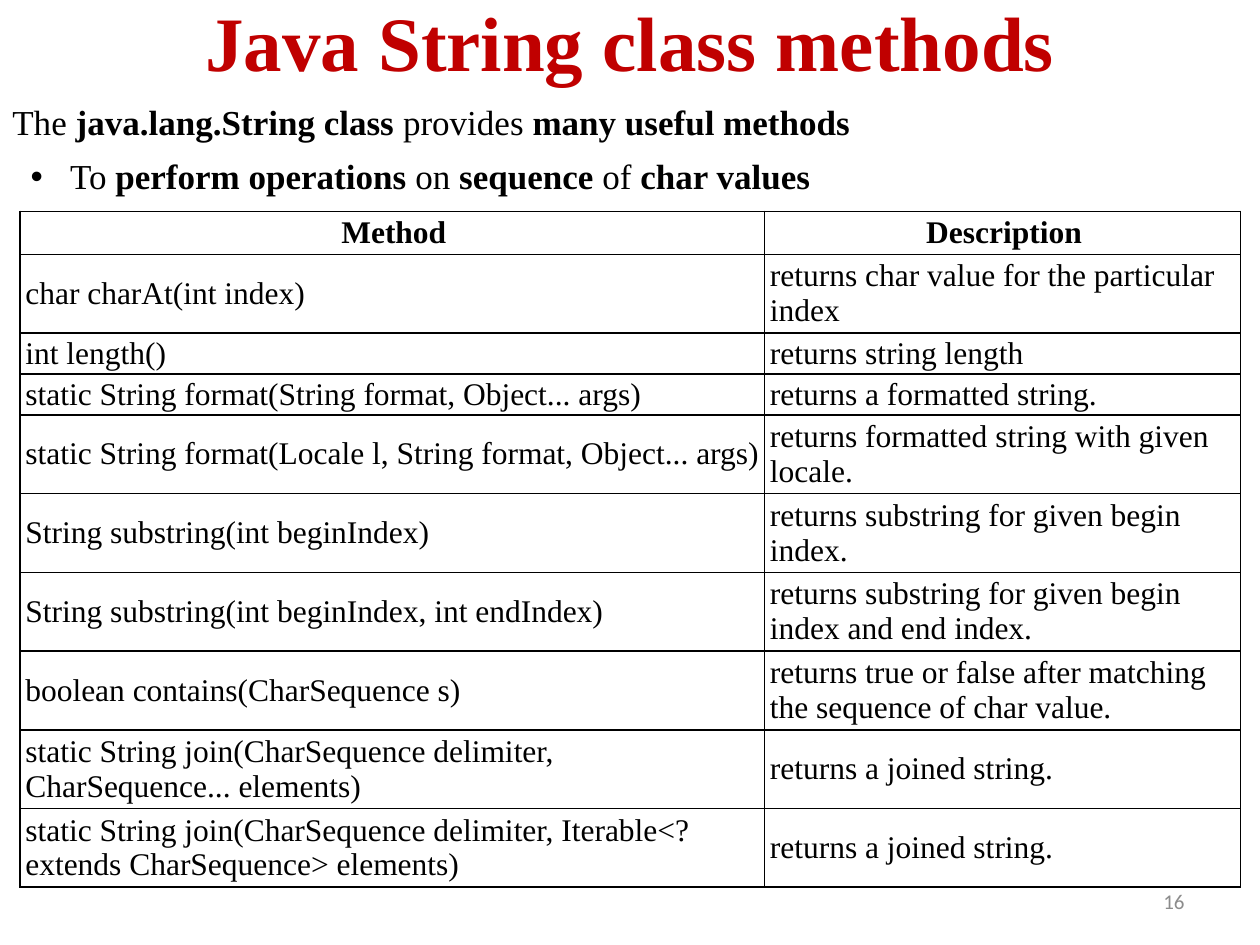
from dataclasses import dataclass
from lxml.etree import SubElement
from pptx import Presentation
from pptx.dml.color import RGBColor
from pptx.enum.text import MSO_ANCHOR as Anchor, PP_ALIGN as Align
from pptx.oxml.ns import qn
from pptx.util import Pt


@dataclass(frozen=True)
class Theme:
    serif: str = "Times New Roman"
    sans: str = "Calibri"
    ink: str = "000000"
    accent: str = "C00000"
    muted: str = "8C8C8C"
    title: int = 44
    body: int = 20
    table: int = 18
    number: int = 12
    border: int = 1


THEME = Theme()
INTRO = [
    [("The ", False), ("java.lang.String class ", True),
     ("provides ", False), ("many useful methods", True)],
    [("To ", False), ("perform operations ", True), ("on ", False),
     ("sequence", True), (" of ", False), ("char values", True)],
]
METHODS = [
    ("Method", "Description"),
    ("char charAt(int index)", "returns char value for the particular index"),
    ("int length()", "returns string length"),
    ("static String format(String format, Object... args)", "returns a formatted string."),
    ("static String format(Locale l, String format, Object... args)",
     "returns formatted string with given locale."),
    ("String substring(int beginIndex)", "returns substring for given begin index."),
    ("String substring(int beginIndex, int endIndex)",
     "returns substring for given begin index and end index."),
    ("boolean contains(CharSequence s)",
     "returns true or false after matching the sequence of char value."),
    ("static String join(CharSequence delimiter, CharSequence... elements)",
     "returns a joined string."),
    ("static String join(CharSequence delimiter, Iterable<? extends CharSequence> elements)",
     "returns a joined string."),
]
HEADER_HEIGHT, SINGLE_HEIGHT, DOUBLE_HEIGHT = 24.5, 23.4, 45
SINGLE_ROWS = (2, 3)
COLUMN_SHARES = (0.61, 0.39)


def apply(target, values):
    for name, value in values.items():
        setattr(target, name, value)


def add_run(paragraph, text, size, color=THEME.ink, bold=False, font=THEME.serif):
    run = paragraph.add_run()
    run.text = text
    apply(run.font, {"name": font, "size": Pt(size), "bold": bold})
    run.font.color.rgb = RGBColor.from_string(color)


def place(shape, box):
    apply(shape, dict(zip(("left", "top", "width", "height"), map(Pt, box))))


def add_title(slide, box):
    title = slide.shapes.title
    place(title, box)
    apply(title.text_frame, {"vertical_anchor": Anchor.MIDDLE, "word_wrap": True})
    paragraph = title.text_frame.paragraphs[0]
    paragraph.alignment = Align.CENTER
    add_run(paragraph, "Java String class methods", THEME.title, THEME.accent, True)


def add_text_box(slide, box, anchor):
    frame = slide.shapes.add_textbox(*map(Pt, box)).text_frame
    apply(frame, {"word_wrap": True, "vertical_anchor": anchor})
    return frame


def add_intro(slide, box):
    frame = add_text_box(slide, box, Anchor.TOP)
    for index, pieces in enumerate(INTRO):
        paragraph = frame.add_paragraph() if index else frame.paragraphs[0]
        apply(paragraph, {"space_before": Pt(1), "space_after": Pt(6)})
        for text, bold in pieces:
            add_run(paragraph, text, THEME.body, bold=bold)
    properties = paragraph._p.get_or_add_pPr()
    properties.set("marL", str(Pt(33)))
    properties.set("indent", str(Pt(-22.5)))
    SubElement(properties, qn("a:buFont"), typeface="Arial")
    SubElement(properties, qn("a:buChar"), char="\u2022")


def add_borders(cell):
    properties = cell._tc.get_or_add_tcPr()
    for position, side in enumerate(("a:lnL", "a:lnR", "a:lnT", "a:lnB")):
        line = properties.makeelement(qn(side), {"w": str(Pt(THEME.border))})
        fill = SubElement(line, qn("a:solidFill"))
        SubElement(fill, qn("a:srgbClr"), val=THEME.ink)
        properties.insert(position, line)


def fill_cell(cell, text, header):
    inset = Pt(1.4 if header else 0.7)
    apply(cell, {"margin_left": Pt(3), "margin_right": inset, "margin_top": inset,
                 "margin_bottom": inset, "vertical_anchor": Anchor.MIDDLE})
    cell.fill.background()
    paragraph = cell.text_frame.paragraphs[0]
    paragraph.alignment = Align.CENTER if header else Align.LEFT
    add_run(paragraph, text, THEME.table, bold=header)
    add_borders(cell)


def row_height(index):
    if index == 0:
        return HEADER_HEIGHT
    return SINGLE_HEIGHT if index in SINGLE_ROWS else DOUBLE_HEIGHT


def add_methods(slide, box):
    table = slide.shapes.add_table(len(METHODS), 2, *map(Pt, box)).table
    apply(table, {"first_row": True, "horz_banding": False})
    for column, share in zip(table.columns, COLUMN_SHARES):
        column.width = Pt(round(box[2] * share, 1))
    for index, texts in enumerate(METHODS):
        table.rows[index].height = Pt(row_height(index))
        for cell, text in zip(table.rows[index].cells, texts):
            fill_cell(cell, text, index == 0)


def add_number(slide, box):
    paragraph = add_text_box(slide, box, Anchor.MIDDLE).paragraphs[0]
    paragraph.alignment = Align.RIGHT
    add_run(paragraph, "16", THEME.number, THEME.muted, font=THEME.sans)


def build_slide(presentation):
    slide = presentation.slides.add_slide(presentation.slide_layouts[5])
    add_title(slide, (0, -22, 720, 90))
    add_number(slide, (516, 500.5, 168, 28.8))
    add_intro(slide, (0, 54, 720, 62))
    add_methods(slide, (11.5, 120.8, 697.5, sum(map(row_height, range(len(METHODS))))))


presentation = Presentation()
apply(presentation, {"slide_width": Pt(720), "slide_height": Pt(540)})
build_slide(presentation)
presentation.save("out.pptx")
